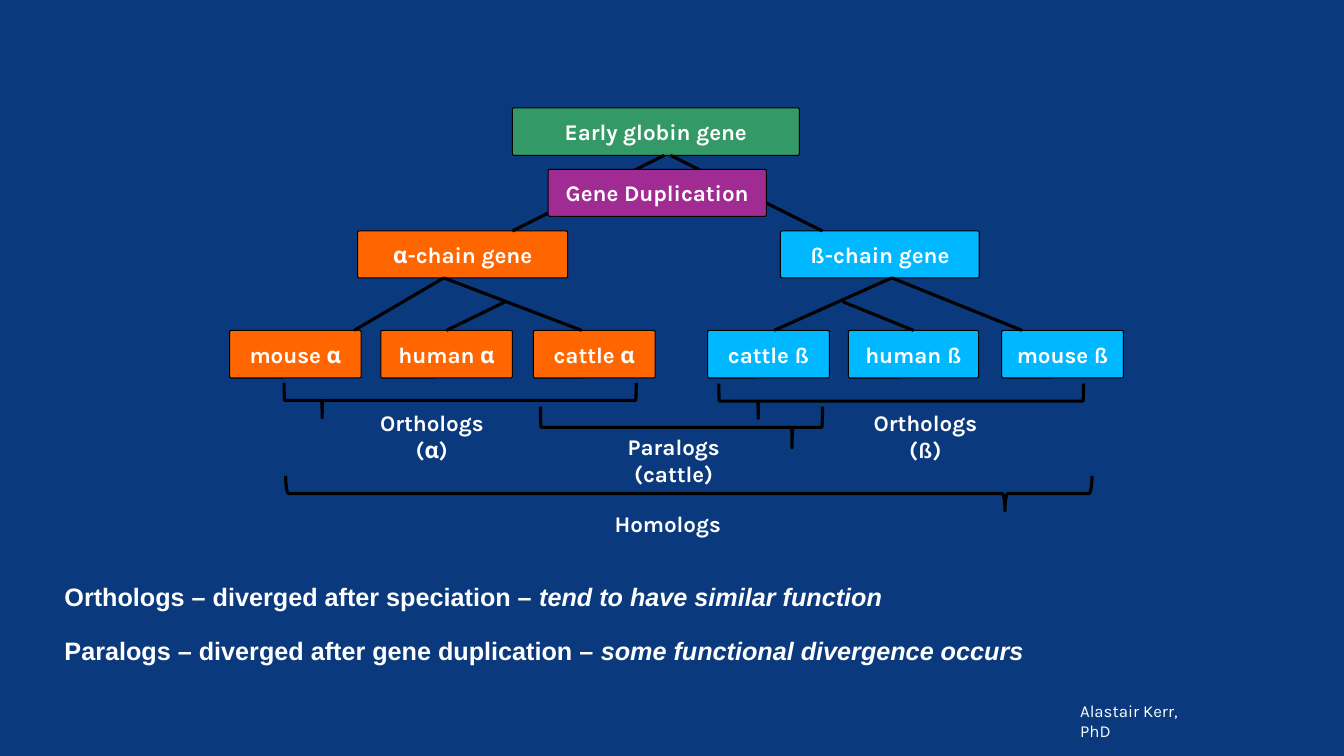
import pptx
import pptx.util
import pptx.dml.color
import pptx.enum.shapes
import pptx.enum.text
import pptx.oxml.ns
import lxml.etree

Pt = pptx.util.Pt
Kind = pptx.enum.shapes.MSO_SHAPE
Align = pptx.enum.text.PP_ALIGN
Anchor = pptx.enum.text.MSO_ANCHOR


class Theme:
    navy, white, black = "0A397D", "FFFFFF", "000000"
    green, purple, orange, blue = "339966", "A02B93", "FF6600", "00B8FF"
    label = {"size": Pt(16), "name": "Karla", "bold": True}
    body = {"size": Pt(18), "name": "Arial", "bold": True}
    credit = {"size": Pt(12), "name": "Karla", "bold": False}
    thin, thick = Pt(0.75), Pt(2.25)
    corner = 0.036


def tint(color, code):
    color.rgb = pptx.dml.color.RGBColor.from_string(code)


def apply(item, values):
    for name, value in values.items():
        setattr(item, name, value)


class Chart:
    def __init__(self, slide, theme):
        self.slide, self.theme = slide, theme
        slide.background.fill.solid()
        tint(slide.background.fill.fore_color, theme.navy)

    def shape(self, kind, area, fill=None, edge=None):
        shape = self.slide.shapes.add_shape(kind, *map(Pt, area))
        shape.shadow.inherit = False
        if fill:
            shape.fill.solid()
            tint(shape.fill.fore_color, fill)
        else:
            shape.fill.background()
        if edge:
            tint(shape.line.color, self.theme.black)
            shape.line.width = edge
        else:
            shape.line.fill.background()
        return shape

    def words(self, para, text, style, **more):
        run = para.add_run()
        run.text = text
        apply(run.font, style | more)
        tint(run.font.color, self.theme.white)

    def box(self, text, area, fill=None):
        edge = self.theme.thin if fill else None
        shape = self.shape(Kind.ROUNDED_RECTANGLE, area, fill, edge)
        shape.adjustments[0] = self.theme.corner
        apply(shape.text_frame, {"word_wrap": True, "vertical_anchor": Anchor.MIDDLE})
        para = shape.text_frame.paragraphs[0]
        para.alignment = Align.CENTER
        self.words(para, text, self.theme.label)
        return shape

    def brace(self, kind, turn, area, curve):
        left, top, width, height = area
        frame = left + (width - height) / 2, top + (height - width) / 2, height, width
        shape = self.shape(kind, frame, edge=self.theme.thick)
        shape.rotation = turn
        shape.adjustments[0], shape.adjustments[1] = curve, 0.108

    def line(self, start, end, target=None):
        line = self.slide.shapes.add_connector(
            pptx.enum.shapes.MSO_CONNECTOR.STRAIGHT, *map(Pt, start + end))
        tint(line.line.color, self.theme.black)
        line.line.width = self.theme.thick
        props = line._element.spPr
        lxml.etree.SubElement(props, pptx.oxml.ns.qn("a:effectLst"))
        if target:
            line.end_connect(target, 0)

    def notes(self, area, rows):
        shape = self.shape(Kind.RECTANGLE, area, self.theme.navy)
        frame = shape.text_frame
        apply(frame, {"word_wrap": True, "vertical_anchor": Anchor.TOP})
        for index, (plain, slant) in enumerate(rows):
            para = frame.add_paragraph() if index else frame.paragraphs[0]
            para.alignment = Align.LEFT
            if index:
                para.space_before = Pt(17)
            self.words(para, plain, self.theme.body)
            self.words(para, slant, self.theme.body, italic=True)

    def credit(self, text, area):
        frame = self.slide.shapes.add_textbox(*map(Pt, area)).text_frame
        frame.word_wrap = True
        self.words(frame.paragraphs[0], text, self.theme.credit)


def main():
    deck = pptx.Presentation()
    apply(deck, {"slide_width": Pt(960), "slide_height": Pt(540)})
    theme = Theme()
    chart = Chart(deck.slides.add_slide(deck.slide_layouts[6]), theme)

    chart.box("Early globin gene", (366, 77, 205, 34), theme.green)
    chart.box("α-chain gene", (255.5, 165, 150, 33.5), theme.orange)
    chart.box("ß-chain gene", (557.5, 165, 142, 33.5), theme.blue)
    leaves = [
        ("mouse α", 164, 94, theme.orange),
        ("human α", 272, 94, theme.orange),
        ("cattle α", 381, 87, theme.orange),
        ("cattle ß", 505.5, 87, theme.blue),
        ("human ß", 606, 93, theme.blue),
        ("mouse ß", 715.5, 87, theme.blue),
    ]
    genes = {text: chart.box(text, (left, 236, width, 34), fill)
             for text, left, width, fill in leaves}

    branches = [
        ((474.5, 111), (366, 165), None),
        ((479, 111), (587.5, 165), None),
        ((317, 198.5), (253, 236), None),
        ((317, 198.5), (415.5, 236), None),
        ((361, 215.5), (321, 236), "human α"),
        ((637, 198.5), (730, 236), None),
        ((637, 198.5), (553, 236), None),
        ((602, 215.5), (656, 236), "human ß"),
    ]
    for start, end, name in branches:
        chart.line(start, end, genes.get(name))
    chart.box("Gene Duplication", (391.5, 121, 156, 33.5), theme.purple)

    braces = [
        (Kind.LEFT_BRACE, 270, (203, 273.5, 251.5, 25), 0.018),
        (Kind.LEFT_BRACE, 270, (513.5, 274, 260.5, 25), 0.018),
        (Kind.RIGHT_BRACE, 90, (386, 290.5, 201.5, 29.5), 0.018),
        (Kind.RIGHT_BRACE, 90, (204, 340, 576, 25), 0.083),
    ]
    for brace in braces:
        chart.brace(*brace)

    labels = [
        ("Orthologs (α)", 255.5, 294.5, 106),
        ("Orthologs (ß)", 607, 294.5, 108),
        ("Paralogs (cattle)", 430.5, 311.5, 101.5),
        ("Homologs", 424, 357, 106),
    ]
    for text, left, top, width in labels:
        chart.box(text, (left, top, width, 34))

    chart.notes((39, 412, 880.5, 106.5), [
        ("Orthologs – diverged after speciation – ", "tend to have similar function"),
        ("Paralogs – diverged after gene duplication – ", "some functional divergence occurs"),
    ])
    chart.credit("Alastair Kerr, PhD", (764.5, 497, 108, 21.5))
    deck.save("out.pptx")


if __name__ == "__main__":
    main()
